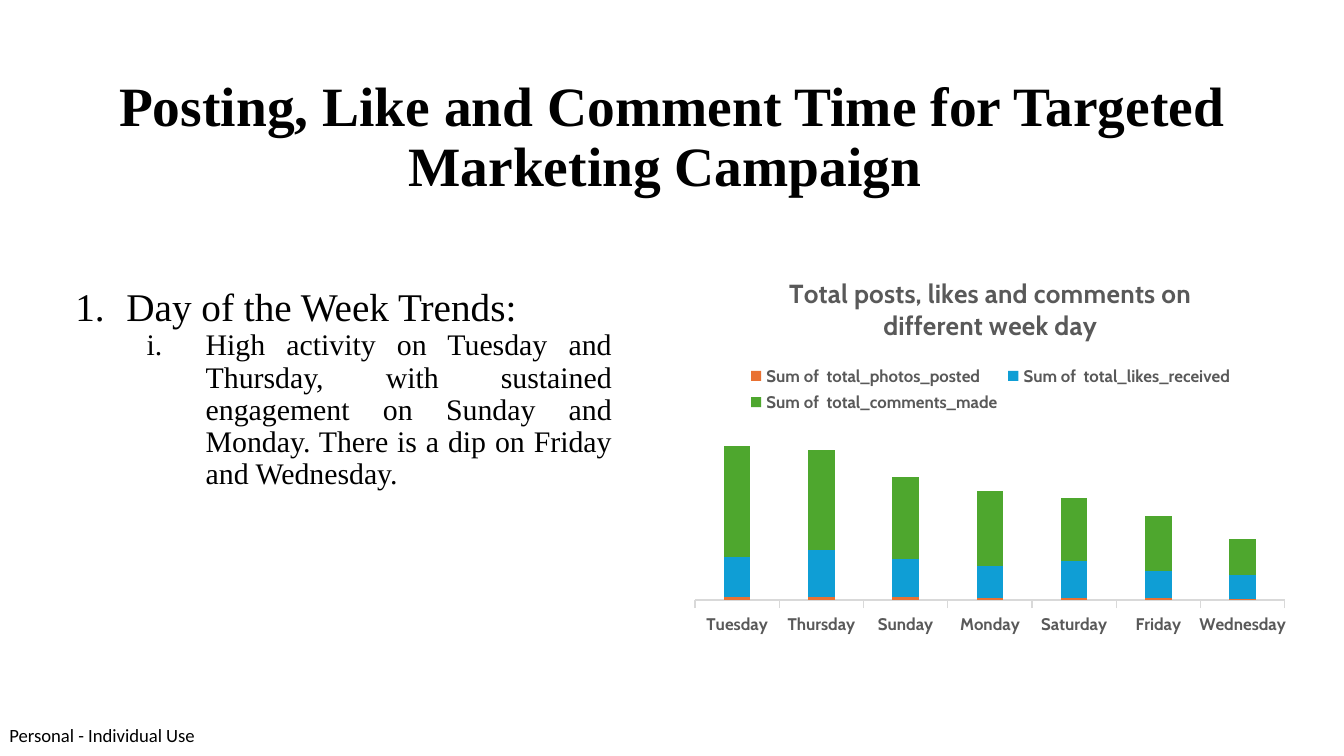
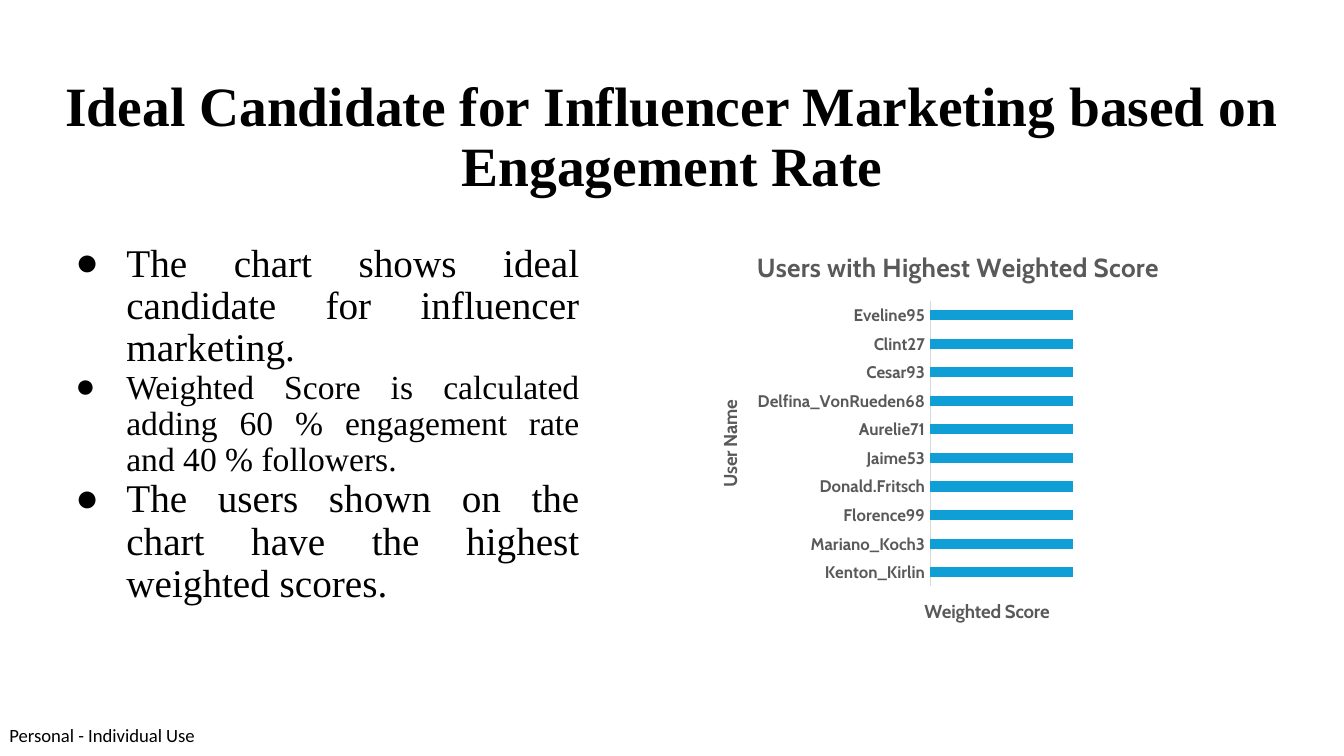
from lxml.etree import SubElement
from pptx import Presentation
from pptx.chart.data import CategoryChartData
from pptx.dml.color import RGBColor
from pptx.enum.chart import XL_CHART_TYPE, XL_LEGEND_POSITION, XL_TICK_MARK
from pptx.enum.text import MSO_ANCHOR, PP_ALIGN
from pptx.oxml.ns import qn
from pptx.util import Inches, Pt

WIDTH = Inches(10)
HEIGHT = WIDTH * 9 // 16
BLACK = RGBColor(0x00, 0x00, 0x00)
GREY = RGBColor(0x59, 0x59, 0x59)
AXIS_GREY = RGBColor(0xD9, 0xD9, 0xD9)
ORANGE = RGBColor(0xE9, 0x71, 0x32)
BLUE = RGBColor(0x0F, 0x9E, 0xD5)
GREEN = RGBColor(0x4E, 0xA7, 0x2E)
SERIF, CHART_FONT, FOOTER_FONT = "Times New Roman", "Cabin", "Calibri"

MARGIN = 3.42
DISC = ("buChar", {"char": "●"})
NUMBER = ("buAutoNum", {"type": "arabicPeriod"})
ROMAN = ("buAutoNum", {"type": "romanLcPeriod"})
INDENTS = [(0.5, -0.38), (1.09, -0.44)]


def place(left, top, width, height):
    return (int(WIDTH * left / 100), int(HEIGHT * top / 100),
            int(WIDTH * width / 100), int(HEIGHT * height / 100))


def style(font, name, size, color, bold=False):
    font.name, font.size, font.bold = name, Pt(size), bold
    font.color.rgb = color


def add_text_frame(slide, area, inset):
    frame = slide.shapes.add_textbox(*place(*area)).text_frame
    frame.word_wrap = True
    frame.vertical_anchor = MSO_ANCHOR.TOP
    frame.margin_left = frame.margin_right = Inches(inset)
    frame.margin_top = frame.margin_bottom = Inches(inset)
    return frame


def add_titled_slide(prs, title):
    slide = prs.slides.add_slide(prs.slide_layouts[6])
    footer = add_text_frame(slide, (0.7, 95.8, 14.1, 3), 0)
    footer.text = "Personal - Individual Use"
    style(footer.paragraphs[0].runs[0].font, FOOTER_FONT, 10, BLACK)
    heading = add_text_frame(slide, (MARGIN, 8.65, 93.2, 11.2), 0.1)
    heading.text = title
    heading.paragraphs[0].alignment = PP_ALIGN.CENTER
    heading.paragraphs[0].line_spacing = 0.9
    style(heading.paragraphs[0].runs[0].font, SERIF, 29.7, BLACK, True)
    return slide


def add_list(slide, area, items):
    frame = add_text_frame(slide, area, 0.1)
    for index, (text, size, level, (marker, attributes)) in enumerate(items):
        paragraph = frame.add_paragraph() if index else frame.paragraphs[0]
        paragraph.text = text
        paragraph.level = level
        paragraph.alignment = PP_ALIGN.JUSTIFY
        paragraph.line_spacing = 0.9
        left, hanging = INDENTS[level]
        properties = paragraph._p.get_or_add_pPr()
        properties.set("marL", str(Inches(left)))
        properties.set("indent", str(Inches(hanging)))
        SubElement(properties, qn("a:buFont"), {"typeface": SERIF})
        SubElement(properties, qn(f"a:{marker}"), attributes)
        style(paragraph.runs[0].font, SERIF, size, BLACK)


def set_title(title, text, size):
    title.text_frame.text = text
    style(title.text_frame.paragraphs[0].runs[0].font,
          CHART_FONT, size, GREY, True)


def add_bar_chart(slide, area, kind, title, categories, series, scale_top, gap,
                  tick):
    data = CategoryChartData()
    data.categories = categories
    for name, values, _ in series:
        data.add_series(name, values)
    chart = slide.shapes.add_chart(kind, *place(*area), data).chart
    style(chart.font, CHART_FONT, 10, BLACK)
    chart.has_title = True
    set_title(chart.chart_title, title, 14)
    chart.has_legend = False

    scale = chart.value_axis
    scale.minimum_scale, scale.maximum_scale = 0, scale_top
    scale.has_major_gridlines = False
    scale.visible = False
    names = chart.category_axis
    names.major_tick_mark = tick
    names.minor_tick_mark = XL_TICK_MARK.NONE
    names.format.line.color.rgb = AXIS_GREY
    names.format.line.width = Pt(0.75)
    style(names.tick_labels.font, CHART_FONT, 9, GREY, True)

    plot = chart.plots[0]
    plot.gap_width = gap
    plot.vary_by_categories = False
    for bars, (_, _, color) in zip(plot.series, series):
        bars.format.fill.solid()
        bars.format.fill.fore_color.rgb = color
    return chart


def add_week_day_slide(prs):
    slide = add_titled_slide(
        prs, "Posting, Like and Comment Time for Targeted Marketing Campaign ")
    add_list(slide, (MARGIN, 36.3, 43.1, 52.6), [
        ("Day of the Week Trends:", 21, 0, NUMBER),
        ("High activity on Tuesday and Thursday, with sustained engagement on "
         "Sunday and Monday. There is a dip on Friday and Wednesday.",
         16, 1, ROMAN),
    ])
    chart = add_bar_chart(
        slide, (50.8, 33.75, 45.8, 51.2), XL_CHART_TYPE.COLUMN_STACKED,
        "Total posts, likes and comments on different week day",
        ["Tuesday", "Thursday", "Sunday", "Monday", "Saturday", "Friday",
         "Wednesday"],
        [("Sum of  total_photos_posted", [3, 3, 3, 2, 2, 2, 1], ORANGE),
         ("Sum of  total_likes_received", [36, 42, 34, 29, 33, 24, 22], BLUE),
         ("Sum of  total_comments_made", [100, 90, 74, 67, 57, 50, 32], GREEN)],
        157, 219, XL_TICK_MARK.OUTSIDE)
    chart.plots[0].overlap = 100
    chart.has_legend = True
    chart.legend.position = XL_LEGEND_POSITION.TOP
    chart.legend.include_in_layout = False
    style(chart.legend.font, CHART_FONT, 9, GREY, True)


def add_influencer_slide(prs):
    slide = add_titled_slide(
        prs,
        "Ideal Candidate for Influencer Marketing based on Engagement Rate")
    add_list(slide, (MARGIN, 30.4, 40.7, 58.5), [
        ("The chart shows ideal candidate for influencer marketing.",
         21, 0, DISC),
        ("Weighted Score is calculated adding 60 % engagement rate and 40 % "
         "followers.", 18, 0, DISC),
        ("The users shown on the chart have the highest weighted scores.",
         21, 0, DISC),
    ])
    users = ["Kenton_Kirlin", "Mariano_Koch3", "Florence99", "Donald.Fritsch",
             "Jaime53", "Aurelie71", "Delfina_VonRueden68", "Cesar93",
             "Clint27", "Eveline95"]
    chart = add_bar_chart(
        slide, (51.3, 30.3, 40, 55.8), XL_CHART_TYPE.BAR_CLUSTERED,
        "Users with Highest Weighted Score", users,
        [("Series 1", [100] * len(users), BLUE)],
        200, 182, XL_TICK_MARK.NONE)
    set_title(chart.category_axis.axis_title, "User Name", 10)
    set_title(chart.value_axis.axis_title, "Weighted Score", 10)


def main():
    prs = Presentation()
    prs.slide_width, prs.slide_height = WIDTH, HEIGHT
    add_week_day_slide(prs)
    add_influencer_slide(prs)
    prs.save("out.pptx")


if __name__ == "__main__":
    main()
